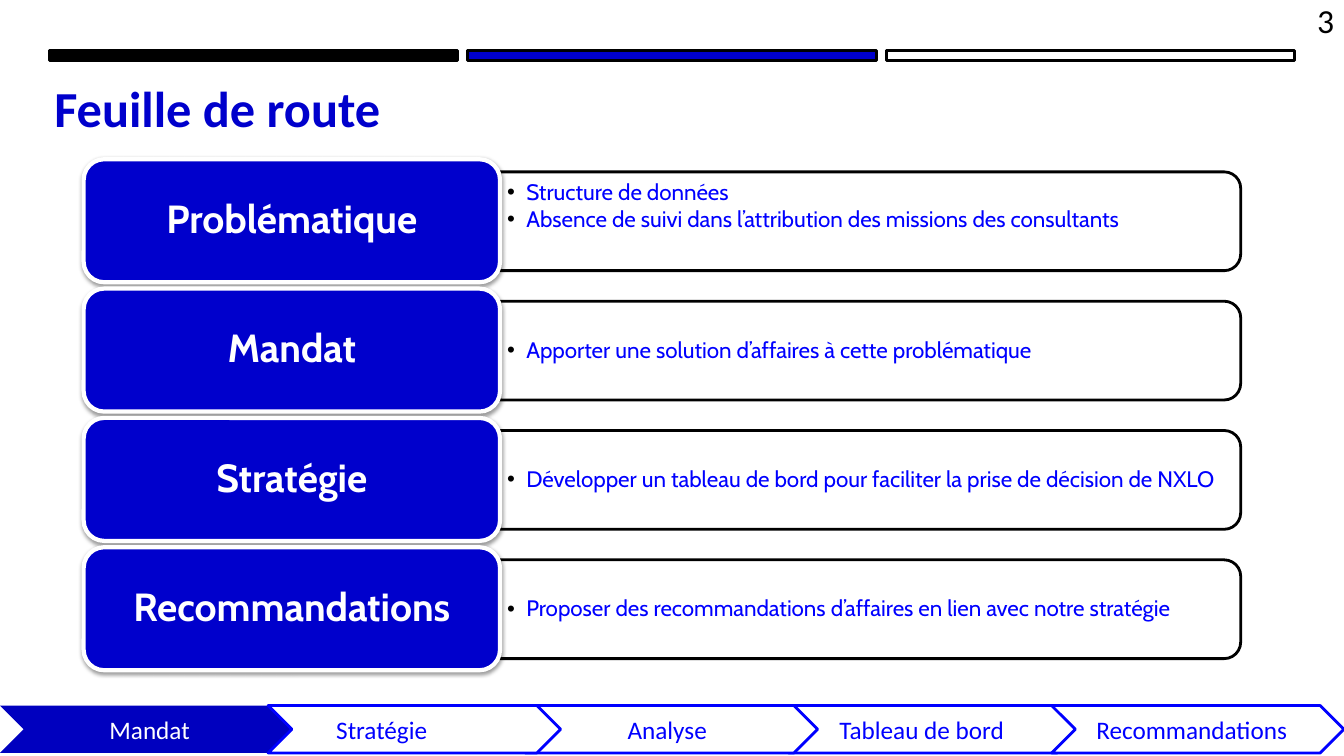
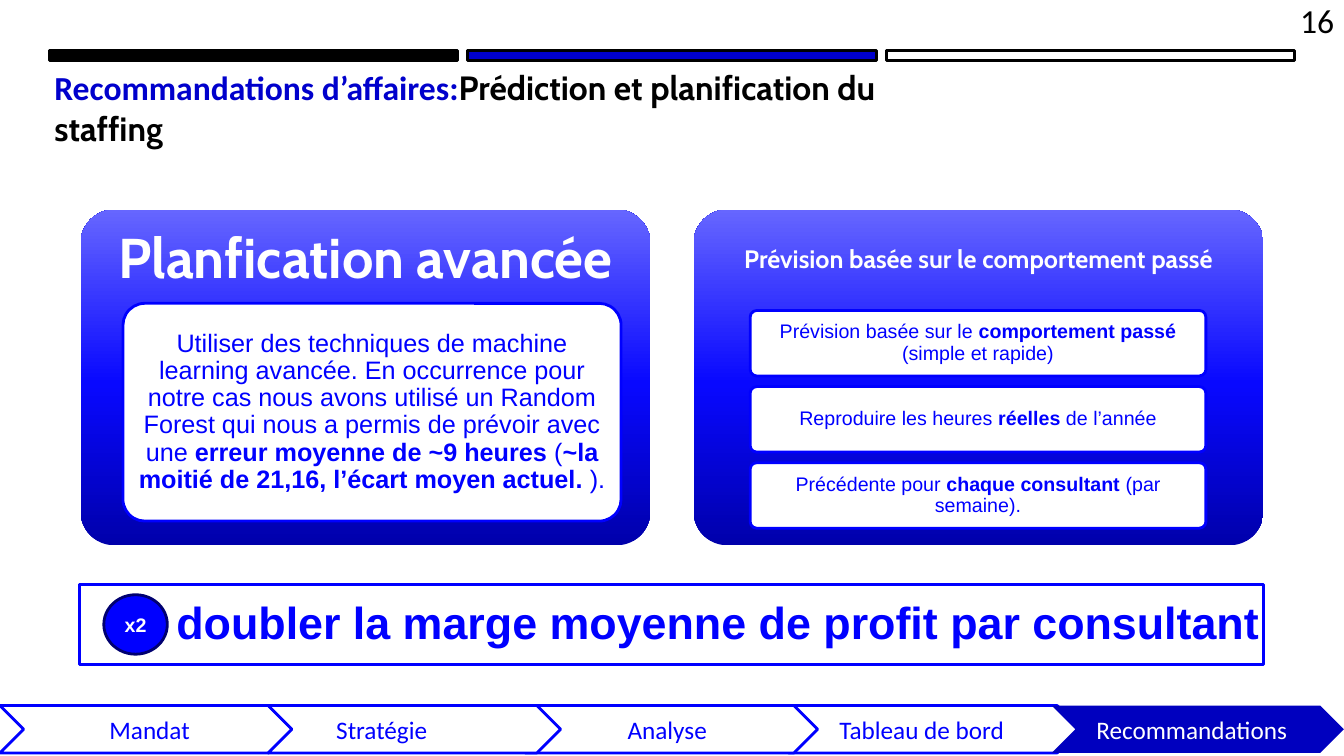
from copy import deepcopy

from lxml.etree import SubElement
from pptx import Presentation
from pptx.dml.color import RGBColor
from pptx.enum.shapes import MSO_SHAPE
from pptx.enum.text import MSO_ANCHOR, PP_ALIGN
from pptx.oxml.ns import qn
from pptx.util import Inches, Pt

COLORS = {
    "black": "000000",
    "white": "FFFFFF",
    "royal": "0000CC",
    "blue": "0000FF",
    "active": "0000BF",
    "navy": "000070",
    "deep": "0000AB",
    "vivid": "0808FF",
    "light": "6666FF",
}

TITLE = {"name": "Calibri", "size": 36, "bold": True, "color": "royal"}
SUBTITLE = {**TITLE, "size": 24}
TOPIC = {**SUBTITLE, "name": "Cabin", "color": "black"}
PAGE = {"name": "Calibri", "size": 24, "color": "black"}
STEP = {"name": "Calibri", "size": 18, "color": "blue"}
LABEL = {"name": "Cabin", "size": 28, "bold": True, "color": "white"}
DETAIL = {"name": "Cabin", "size": 16, "color": "blue"}
PLAIN = {"name": "Arial", "size": 18, "bold": False, "color": "blue"}
PROFIT = {"name": "Arial", "size": 32, "bold": True, "color": "blue"}
BADGE = {"name": "Arial", "size": 14, "bold": True, "color": "white"}

BANDS = [(0.49, "black"), (4.64, "royal"), (8.79, "white")]

STEPS = [
    ("Mandat", 0, PP_ALIGN.CENTER, (0.1, 0.03, 0.03, 0.03)),
    ("Tableau de bord", 7.82, PP_ALIGN.LEFT, (0.27, 0.1, 0.1, 0.1)),
    ("Recommandations", 10.43, PP_ALIGN.LEFT, (0.21, 0.1, 0, 0.1)),
    ("Analyse", 5.21, PP_ALIGN.LEFT, (0.78, 0.1, 0.1, 0.1)),
    ("Stratégie", 2.66, PP_ALIGN.LEFT, (0.44, 0.1, 0.1, 0.1)),
]

ROADMAP = [
    ("Problématique", ["Structure de données",
                       "Absence de suivi dans l’attribution des missions des consultants"], 0.33),
    ("Mandat", ["Apporter une solution d’affaires à cette problématique"], 0.03),
    ("Stratégie", ["Développer un tableau de bord pour faciliter la prise de décision de NXLO"], 0.03),
    ("Recommandations", ["Proposer des recommandations d’affaires en lien avec notre stratégie"], 0.03),
]

CARD_GRADIENT = [(0, "deep"), (0.48, "vivid"), (1, "light")]
CARDS = [
    {
        "left": 0.8, "heading": "Planfication avancée", "heading_size": 40,
        "box": (1.22, 3.01, 4.94, 2.16), "pitch": 0, "size": 18, "inset": 0.05,
        "items": [[
            ("Utiliser des techniques de machine learning avancée. En occurrence pour notre cas "
             "nous avons utilisé un Random Forest qui nous a permis de prévoir avec une ", False),
            ("erreur moyenne de ~9 heures ", True),
            ("(", False),
            ("~la moitié de 21,16, l’écart moyen actuel. ", True),
            (").", False),
        ]],
    },
    {
        "left": 6.88, "heading": "Prévision basée sur le comportement passé", "heading_size": 18,
        "box": (7.44, 3.08, 4.52, 0.65), "pitch": 0.755, "size": 14, "inset": 0.04,
        "items": [
            [("Prévision basée sur le ", False), ("comportement passé ", True),
             ("(simple et rapide)", False)],
            [("Reproduire les heures ", False), ("réelles", True), (" de l’année", False)],
            [("Précédente pour ", False), ("chaque consultant ", True), ("(par semaine).", False)],
        ],
    },
]


def rgb(color):
    return RGBColor.from_string(COLORS[color])


def write(shape, paragraphs, inset=(0.1, 0.05, 0.1, 0.05), align=PP_ALIGN.LEFT, spacing=None, after=0):
    frame = shape.text_frame
    left, top, right, bottom = map(Inches, inset)
    layout = {"word_wrap": True, "vertical_anchor": MSO_ANCHOR.MIDDLE, "margin_left": left,
              "margin_top": top, "margin_right": right, "margin_bottom": bottom}
    for name, value in layout.items():
        setattr(frame, name, value)
    for index, runs in enumerate(paragraphs):
        paragraph = frame.add_paragraph() if index else frame.paragraphs[0]
        flow = {"alignment": align, "line_spacing": spacing, "space_after": Pt(after)}
        for name, value in flow.items():
            setattr(paragraph, name, value)
        for text, style in runs:
            run = paragraph.add_run()
            run.text = text
            font = {**style, "size": Pt(style["size"])}
            run.font.color.rgb = rgb(font.pop("color"))
            for name, value in font.items():
                setattr(run.font, name, value)
    return shape


def add_text(slide, at, paragraphs, **options):
    return write(slide.shapes.add_textbox(*map(Inches, at)), paragraphs, **options)


def add_block(slide, kind, at, fill=None, line=None, width=2, radius=None):
    block = slide.shapes.add_shape(kind, *map(Inches, at))
    block.shadow.inherit = False
    if radius is not None:
        block.adjustments[0] = radius
    if fill:
        block.fill.solid()
        block.fill.fore_color.rgb = rgb(fill)
    if line:
        block.line.color.rgb = rgb(line)
        block.line.width = Pt(width)
    else:
        block.line.fill.background()
    return block


def cast_shadow(block):
    effects = block._element.spPr.find(qn("a:effectLst"))
    shadow = SubElement(effects, qn("a:outerShdw"), blurRad=str(Pt(3.1)), dist=str(Pt(1.6)),
                        dir="5400000", rotWithShape="0")
    tint = SubElement(shadow, qn("a:srgbClr"), val=COLORS["black"])
    SubElement(tint, qn("a:alpha"), val="38000")


def add_bullets(box):
    for paragraph in box.text_frame.paragraphs:
        props = paragraph._p.get_or_add_pPr()
        props.set("marL", str(Inches(0.19)))
        props.set("indent", str(Inches(-0.19)))
        tint = SubElement(props, qn("a:buClr"))
        SubElement(tint, qn("a:srgbClr"), val=COLORS["black"])
        SubElement(props, qn("a:buFont"), typeface="Arial")
        SubElement(props, qn("a:buChar"), char="•")


def shade(card):
    card.fill.gradient()
    card.fill.gradient_angle = 90
    stops = card._element.spPr.find(".//" + qn("a:gsLst"))
    stops.append(deepcopy(stops[0]))
    for stop, (position, color) in zip(card.fill.gradient_stops, CARD_GRADIENT):
        stop.position = position
        stop.color.rgb = rgb(color)


def add_page(deck, number, title):
    slide = deck.slides.add_slide(deck.slide_layouts[6])
    for left, color in BANDS:
        add_block(slide, MSO_SHAPE.RECTANGLE, (left, 0.5, 4.05, 0.1), color, "black")
    add_text(slide, (0.44, 0.67, 9.19, 0.79), [title])
    add_text(slide, (10.33, 0, 3, 0.4), [[(number, PAGE)]], align=PP_ALIGN.RIGHT)
    return slide


def add_steps(slide, current):
    for name, left, align, inset in STEPS:
        active = name == current
        fill, line, ink = ("active", None, "white") if active else ("white", "blue", "blue")
        chevron = add_block(slide, MSO_SHAPE.CHEVRON, (left, 7, 2.9, 0.47), fill, line, radius=0.5)
        write(chevron, [[(name, {**STEP, "color": ink})]], inset, align)


def add_roadmap(slide):
    for index, (name, details, bottom) in enumerate(ROADMAP):
        top = 1.58 + 1.283 * index
        bar = add_block(slide, MSO_SHAPE.ROUND_2_SAME_RECTANGLE, (8.14, top - 3.06, 0.98, 7.35),
                        "white", "black")
        bar.rotation = 90
        add_bullets(add_text(slide, (4.96, top + 0.18, 7.3, 0.88), [[(text, DETAIL)] for text in details],
                             inset=(0.07, 0.03, 0.07, bottom), spacing=0.9, after=2.4))
        label = add_block(slide, MSO_SHAPE.ROUNDED_RECTANGLE, (0.83, top, 4.13, 1.22), "royal", "white", 3)
        cast_shadow(label)
        write(label, [[(name, LABEL)]], (0.12, 0.06, 0.12, 0.06), PP_ALIGN.CENTER, 0.9)


def add_cards(slide):
    for card in CARDS:
        panel = add_block(slide, MSO_SHAPE.ROUNDED_RECTANGLE, (card["left"], 2.08, 5.65, 3.33), radius=0.1)
        shade(panel)
        heading = {**LABEL, "size": card["heading_size"]}
        add_text(slide, (card["left"], 2.08, 5.65, 1), [[(card["heading"], heading)]],
                 inset=(0.07,) * 4, align=PP_ALIGN.CENTER, spacing=0.9)
        left, top, width, height = card["box"]
        for index, item in enumerate(card["items"]):
            box = add_block(slide, MSO_SHAPE.ROUNDED_RECTANGLE,
                            (left, top + card["pitch"] * index, width, height), "white", "blue", radius=0.1)
            runs = [(text, {**PLAIN, "size": card["size"], "bold": bold}) for text, bold in item]
            write(box, [runs], (card["inset"], 0.03, card["inset"], 0.03), PP_ALIGN.CENTER, 0.9)


def add_profit(slide):
    banner = add_block(slide, MSO_SHAPE.RECTANGLE, (0.79, 5.8, 11.74, 0.79), "white", "blue")
    write(banner, [[("doubler la marge moyenne de profit par consultant", PROFIT)]], (0.96, 0, 0, 0.05))
    badge = add_block(slide, MSO_SHAPE.OVAL, (1.03, 5.9, 0.63, 0.59), "blue", "navy")
    write(badge, [[("x2", BADGE)]], (0, 0, 0, 0), PP_ALIGN.CENTER)


def main():
    deck = Presentation()
    deck.slide_width, deck.slide_height = Inches(13.33), Inches(7.5)

    roadmap = add_page(deck, "3", [("Feuille de route", TITLE)])
    add_roadmap(roadmap)
    add_steps(roadmap, "Mandat")

    advice = add_page(deck, "16", [("Recommandations d’affaires:", SUBTITLE),
                                   ("Prédiction et planification du staffing", TOPIC)])
    add_cards(advice)
    add_steps(advice, "Recommandations")
    add_profit(advice)

    deck.save("out.pptx")


if __name__ == "__main__":
    main()
